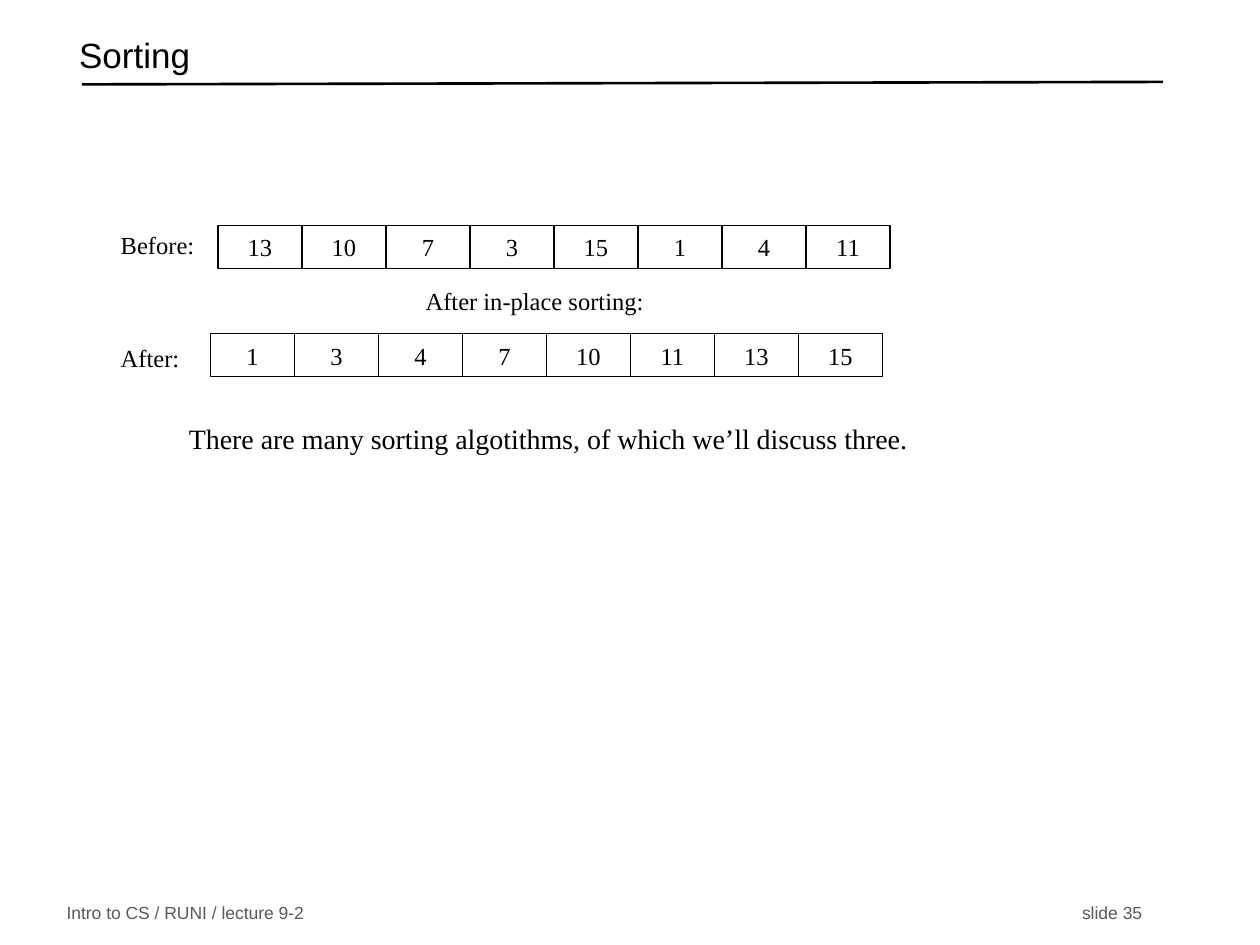
from dataclasses import dataclass

from lxml.etree import SubElement
from pptx import Presentation
from pptx.dml.color import RGBColor
from pptx.enum.shapes import MSO_CONNECTOR, MSO_SHAPE
from pptx.enum.text import MSO_ANCHOR, PP_ALIGN
from pptx.oxml.ns import qn
from pptx.util import Inches, Pt


@dataclass(frozen=True)
class Theme:
    """Colours, fonts and type sizes of the slide."""
    ink: RGBColor = RGBColor(0x00, 0x00, 0x00)
    muted: RGBColor = RGBColor(0x59, 0x59, 0x59)
    heading_font: str = "Arial"
    body_font: str = "Times New Roman"
    title_size: Pt = Pt(20)
    statement_size: Pt = Pt(16)
    label_size: Pt = Pt(14)
    footer_size: Pt = Pt(10)


THEME = Theme()


def write(shape, text, size, font=THEME.body_font, color=THEME.ink, anchor=MSO_ANCHOR.TOP):
    """Write one run into a shape and return its paragraph."""
    frame = shape.text_frame
    frame.word_wrap = True
    frame.vertical_anchor = anchor
    paragraph = frame.paragraphs[0]
    run = paragraph.add_run()
    run.text = text
    run.font.size = size
    run.font.name = font
    run.font.color.rgb = color
    return paragraph


def add_text(slide, left, top, width, height, text, size, **style):
    """Add a text box and return its paragraph."""
    box = slide.shapes.add_textbox(Inches(left), Inches(top), Inches(width), Inches(height))
    return write(box, text, size, **style)


def add_title(slide, text):
    """Add the slide title and the rule below it."""
    rule = slide.shapes.add_connector(
        MSO_CONNECTOR.STRAIGHT, Inches(0.65), Inches(0.67), Inches(9.23), Inches(0.65))
    rule.line.color.rgb = THEME.ink
    rule.line.width = Pt(1.5)
    SubElement(rule._element.spPr, qn("a:effectLst"))
    title = add_text(slide, 0.53, 0.22, 8.6, 0.5, text, THEME.title_size,
                     font=THEME.heading_font, anchor=MSO_ANCHOR.MIDDLE)
    title.line_spacing = 0.7


def add_footer(slide, course, number):
    """Add the footer with the slide number at a tab stop."""
    footer = add_text(slide, 0.43, 7.14, 8.8, 0.21, f"{course}\t{number}", THEME.footer_size,
                      font=THEME.heading_font, color=THEME.muted, anchor=MSO_ANCHOR.MIDDLE)
    tabs = SubElement(footer._p.get_or_add_pPr(), qn("a:tabLst"))
    SubElement(tabs, qn("a:tab"), pos=str(Inches(8.06)), algn="l")


def add_array(slide, left, top, values):
    """Add a row of adjoining cells, one for each value."""
    cell_width = 2 / 3
    for index, value in enumerate(values):
        cell = slide.shapes.add_shape(
            MSO_SHAPE.RECTANGLE, Inches(left + index * cell_width), Inches(top),
            Inches(cell_width), Inches(0.34))
        cell.shadow.inherit = False
        cell.fill.background()
        cell.line.color.rgb = THEME.ink
        cell.line.width = Pt(0.75)
        paragraph = write(cell, str(value), THEME.label_size, anchor=MSO_ANCHOR.MIDDLE)
        paragraph.alignment = PP_ALIGN.CENTER


def main():
    """Build the sorting slide and save it."""
    presentation = Presentation()
    presentation.slide_width = Inches(10)
    presentation.slide_height = Inches(7.5)
    slide = presentation.slides.add_slide(presentation.slide_layouts[6])
    numbers = [13, 10, 7, 3, 15, 1, 4, 11]

    add_title(slide, "Sorting")
    add_footer(slide, "Intro to CS / RUNI / lecture 9-2", "slide 35")
    add_array(slide, 1.73, 1.79, numbers)
    add_text(slide, 1.4, 3.3, 6.23, 1.45,
             "There are many sorting algotithms, of which we’ll discuss three.",
             THEME.statement_size)
    add_array(slide, 1.67, 2.65, sorted(numbers))
    add_text(slide, 0.86, 1.78, 1.08, 0.33, "Before:", THEME.label_size)
    add_text(slide, 0.86, 2.67, 1.08, 0.33, "After:", THEME.label_size)
    add_text(slide, 3.28, 2.22, 2.7, 0.34, "After in-place sorting:", THEME.label_size)
    presentation.save("out.pptx")


if __name__ == "__main__":
    main()
